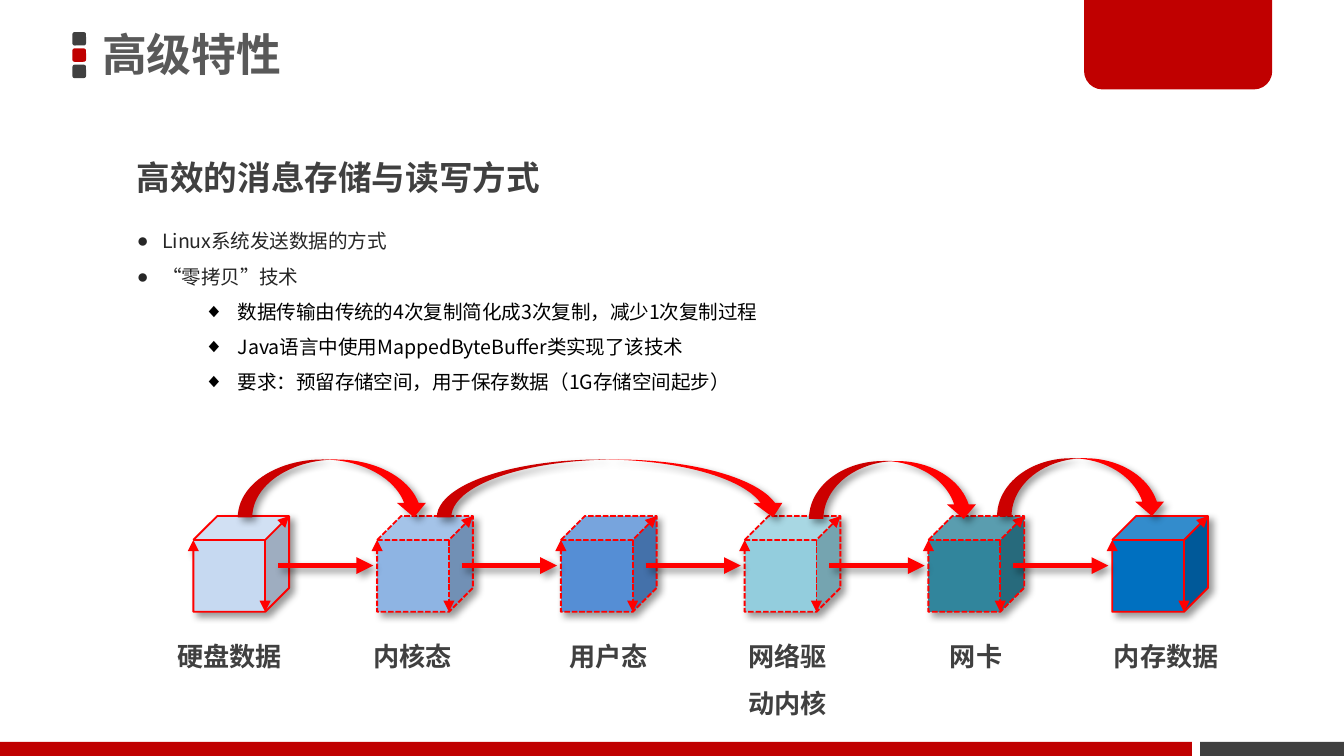
"""Build the slide on efficient message storage and zero-copy data transfer."""
from dataclasses import dataclass
from typing import Optional

from lxml import etree
from pptx import Presentation
from pptx.dml.color import RGBColor
from pptx.enum import dml, shapes, text
from pptx.oxml import ns
from pptx.util import Pt

FONT = "Noto Sans CJK SC"
BLACK = RGBColor(0, 0, 0)
INK = RGBColor(0x26, 0x26, 0x26)
DARK = RGBColor(0x40, 0x40, 0x40)
GRAY = RGBColor(0x59, 0x59, 0x59)
CRIMSON = RGBColor(0xC0, 0, 0)
RED = RGBColor(0xFF, 0, 0)

CUBE_LEFT, CUBE_TOP, CUBE_SIZE, PITCH = 103.6, 276.5, 51.3, 98.45
FLOW_LEFT, FLOW_TOP, FLOW_LENGTH = 149, 303, 51


@dataclass
class Stage:
    label: str
    color: RGBColor
    label_left: float
    label_width: float
    dashed: bool = True


@dataclass
class Jump:
    left: float
    top: float
    width: float


@dataclass
class Bullet:
    words: str
    level: int = 0


STAGES = [
    Stage("硬盘数据", RGBColor(0xC6, 0xD9, 0xF1), 87.8, 73.4, False),
    Stage("内核态", RGBColor(0x8E, 0xB4, 0xE3), 193, 73.4),
    Stage("用户态", RGBColor(0x55, 0x8E, 0xD5), 298.1, 73.4),
    Stage("网络驱动内核", RGBColor(0x93, 0xCD, 0xDD), 393.8, 61.2),
    Stage("网卡", RGBColor(0x31, 0x85, 0x9C), 501.8, 61.2),
    Stage("内存数据", RGBColor(0, 0x70, 0xC0), 589.7, 73.4, False),
]
JUMPS = [Jump(127.4, 246.2, 102.2), Jump(234, 246.2, 187.9),
         Jump(433.4, 247, 90.7), Jump(534.2, 245.5, 90.7)]
BULLETS = [
    Bullet("Linux系统发送数据的方式"),
    Bullet("“零拷贝”技术"),
    Bullet("数据传输由传统的4次复制简化成3次复制，减少1次复制过程", 1),
    Bullet("Java语言中使用MappedByteBuffer类实现了该技术", 1),
    Bullet("要求：预留存储空间，用于保存数据（1G存储空间起步）", 1),
]


def add_child(parent, tag: str, **attributes: str):
    return etree.SubElement(parent, ns.qn(tag), attributes)


def place(shape, left: float, top: float, width: float, height: float) -> None:
    shape.left, shape.top = Pt(left), Pt(top)
    shape.width, shape.height = Pt(width), Pt(height)


def style(paragraph, size: float, color: RGBColor, bold: bool, spacing: float = 1.5) -> None:
    paragraph.alignment = text.PP_ALIGN.LEFT
    paragraph.line_spacing = spacing
    paragraph.space_before = Pt(0)
    font = paragraph.font
    font.name, font.size, font.bold = FONT, Pt(size), bold
    font.color.rgb = color
    add_child(paragraph._p.pPr.find(ns.qn("a:defRPr")), "a:ea", typeface=FONT)


def add_shadow(properties) -> None:
    effects = properties.find(ns.qn("a:effectLst"))
    if effects is None:
        effects = add_child(properties, "a:effectLst")
    shadow = add_child(effects, "a:outerShdw", blurRad=str(Pt(4)), dist=str(Pt(3)),
                       dir="2700000", algn="tl", rotWithShape="0")
    add_child(add_child(shadow, "a:srgbClr", val="000000"), "a:alpha", val="40000")


def add_arrowhead(line) -> None:
    add_child(line._get_or_add_ln(), "a:tailEnd", type="triangle")


def add_filled(slide, kind, left: float, top: float, width: float, height: float,
               color: RGBColor, outline: Optional[RGBColor] = None):
    shape = slide.shapes.add_shape(kind, Pt(left), Pt(top), Pt(width), Pt(height))
    shape.shadow.inherit = False
    shape.fill.solid()
    shape.fill.fore_color.rgb = color
    if outline is None:
        shape.line.fill.background()
    else:
        shape.line.color.rgb = outline
        shape.line.width = Pt(1)
    return shape


def add_label(slide, words: str, left: float, top: float, width: float,
              height: float, size: float) -> None:
    label = slide.shapes.add_textbox(Pt(left), Pt(top), Pt(width), Pt(height))
    label.text_frame.word_wrap = True
    label.text_frame.text = words
    style(label.text_frame.paragraphs[0], size, DARK, True)


def add_frame_decor(slide) -> None:
    kinds = shapes.MSO_SHAPE
    for row, color in enumerate((DARK, CRIMSON, DARK)):
        add_filled(slide, kinds.ROUNDED_RECTANGLE, 38.8, 17.2 + 8.75 * row, 7.3, 7.2, color)
    tab = add_filled(slide, kinds.ROUND_2_SAME_RECTANGLE, 580.8, -1.4, 100.8, 49.3, CRIMSON)
    tab.adjustments[0], tab.adjustments[1] = 0, 0.2
    add_filled(slide, kinds.RECTANGLE, 0, 397.5, 638.6, 7.5, CRIMSON)
    add_filled(slide, kinds.RECTANGLE, 643, 397.5, 77, 7.5, DARK)


def write_title(title) -> None:
    place(title, 49.7, 6.5, 424, 48.2)
    frame = title.text_frame
    frame.text = "高级特性"
    frame.auto_size = text.MSO_AUTO_SIZE.NONE
    frame.vertical_anchor = text.MSO_ANCHOR.MIDDLE
    frame.margin_left = frame.margin_right = Pt(5)
    frame.margin_top = frame.margin_bottom = Pt(3)
    style(frame.paragraphs[0], 24, GRAY, True, 0.9)


def write_bullets(body) -> None:
    place(body, 66.2, 113, 504.7, 121.7)
    frame = body.text_frame
    frame.auto_size = text.MSO_AUTO_SIZE.NONE
    frame.text = "\n".join(bullet.words for bullet in BULLETS)
    for bullet, paragraph in zip(BULLETS, frame.paragraphs):
        paragraph.level = bullet.level
        indent, hanging, mark, color = ((54, 18, "◆", BLACK) if bullet.level
                                        else (13.5, 13.5, "●", INK))
        properties = paragraph._p.get_or_add_pPr()
        properties.set("marL", str(Pt(indent)))
        properties.set("indent", str(-Pt(hanging)))
        add_child(properties, "a:buChar", char=mark)
        style(paragraph, 10.5, color, False)


def add_stage(slide, index: int, stage: Stage) -> None:
    cube = add_filled(slide, shapes.MSO_SHAPE.CUBE, CUBE_LEFT + PITCH * index, CUBE_TOP,
                      CUBE_SIZE, CUBE_SIZE, stage.color, RED)
    if stage.dashed:
        cube.line.dash_style = dml.MSO_LINE.SQUARE_DOT
    add_arrowhead(cube.line)
    add_shadow(cube._element.spPr)
    add_label(slide, stage.label, stage.label_left, 331.2, stage.label_width, 32, 14)


def add_flow(slide, index: int) -> None:
    start = FLOW_LEFT + PITCH * index
    flow = slide.shapes.add_connector(shapes.MSO_CONNECTOR.STRAIGHT, Pt(start), Pt(FLOW_TOP),
                                      Pt(start + FLOW_LENGTH), Pt(FLOW_TOP))
    flow.line.color.rgb = RED
    flow.line.width = Pt(3)
    add_arrowhead(flow.line)
    add_shadow(flow._element.spPr)


def add_jump(slide, jump: Jump) -> None:
    arrow = add_filled(slide, shapes.MSO_SHAPE.CURVED_DOWN_ARROW, jump.left, jump.top,
                       jump.width, 31, RED)
    add_shadow(arrow._element.spPr)


def main() -> None:
    deck = Presentation()
    deck.slide_width, deck.slide_height = Pt(720), Pt(405)
    slide = deck.slides.add_slide(deck.slide_layouts[1])
    add_frame_decor(slide)
    write_title(slide.shapes.title)
    add_label(slide, "高效的消息存储与读写方式", 66.2, 69.8, 514.8, 36.7, 18)
    write_bullets(slide.placeholders[1])
    for index, stage in enumerate(STAGES):
        add_stage(slide, index, stage)
    for index in range(len(STAGES) - 1):
        add_flow(slide, index)
    for jump in JUMPS:
        add_jump(slide, jump)
    deck.save("out.pptx")


if __name__ == "__main__":
    main()
